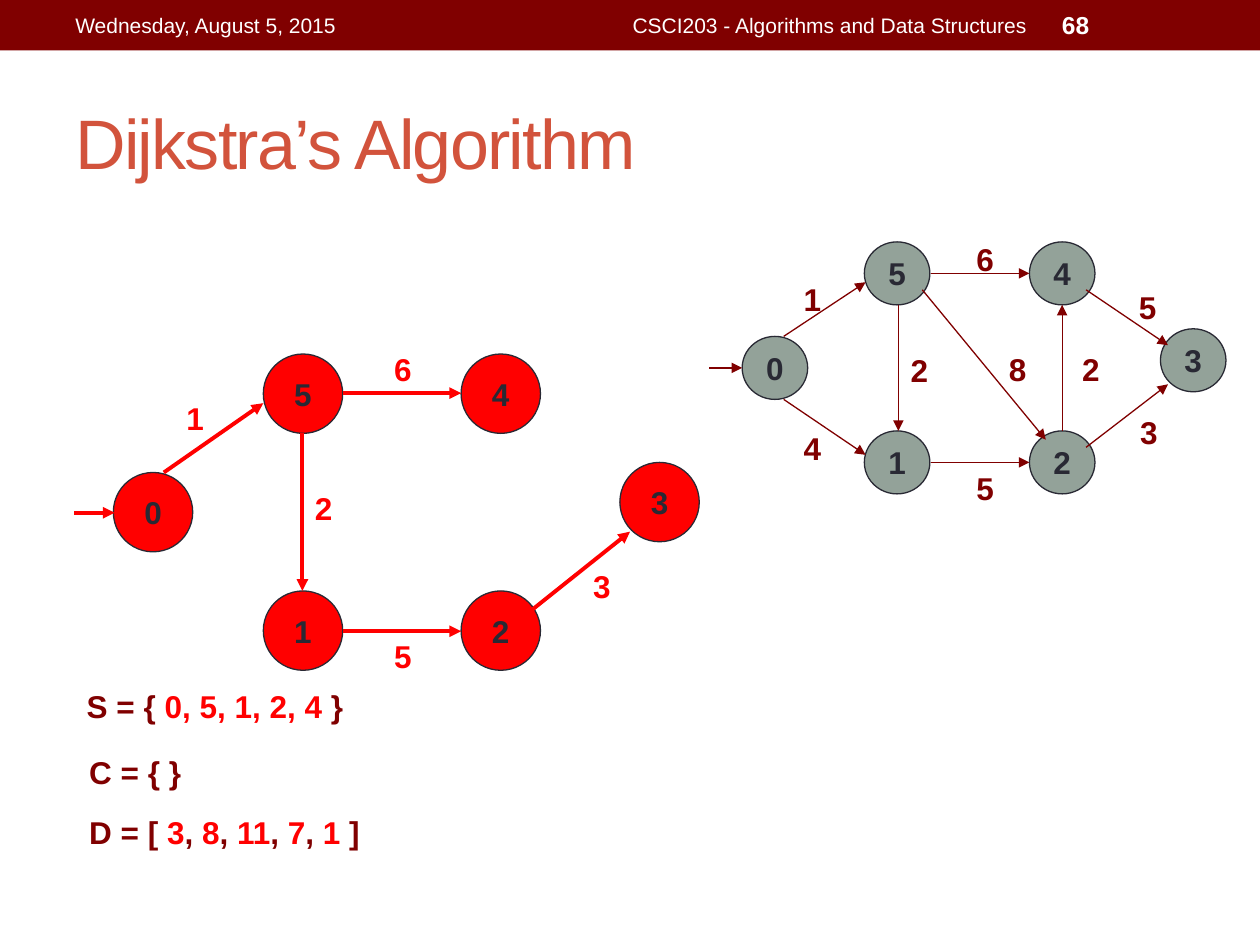
"""Build the slide on Dijkstra's algorithm with its two graphs."""
from lxml.etree import SubElement
from pptx import Presentation
from pptx.dml.color import RGBColor as RGB
from pptx.enum.shapes import MSO_CONNECTOR as Link, MSO_SHAPE as Shape
from pptx.enum.text import MSO_ANCHOR as Anchor, MSO_AUTO_SIZE as Auto, PP_ALIGN as Align
from pptx.oxml.ns import qn
from pptx.util import Inches, Pt

HUES = {"dark": "800000", "red": "FF0000", "grey": "93A299",
        "ink": "292934", "title": "D2533C", "white": "FFFFFF"}


def hue(name):
    return RGB.from_string(HUES[name])


def write(shape, runs, size=18, bold=True, align=Align.LEFT,
          anchor=Anchor.MIDDLE, wrap=True):
    frame = shape.text_frame
    frame.word_wrap = wrap
    frame.vertical_anchor = anchor
    par = frame.paragraphs[0]
    par.alignment = align
    for text, tone in runs:
        run = par.add_run()
        run.text = text
        run.font.name = "Arial"
        run.font.size = Pt(size)
        run.font.bold = bold
        run.font.color.rgb = hue(tone)
    return frame


deck = Presentation()
deck.slide_width, deck.slide_height = Inches(10), Inches(7.5)
slide = deck.slides.add_slide(deck.slide_layouts[6])
shapes = slide.shapes

band = shapes.add_shape(Shape.RECTANGLE, 0, 0, Inches(10), Inches(0.4))
band.shadow.inherit = False
band.fill.solid()
band.fill.fore_color.rgb = hue("dark")
band.line.fill.background()

title = shapes.add_textbox(Inches(0.5), Inches(0.58), Inches(9), Inches(1.08))
frame = write(title, [("Dijkstra’s Algorithm", "title")], 40, False)
frame.paragraphs[0].runs[0].font._element.set("spc", "-100")

heads = [
    (0.5, 3.17, "Wednesday, August 5, 2015", 12, False, Align.LEFT),
    (3.75, 4.5, "CSCI203 - Algorithms and Data Structures", 12, False, Align.RIGHT),
    (8.33, 1.17, "68", 14, True, Align.LEFT),
]
for left, width, text, size, bold, align in heads:
    box = shapes.add_textbox(Inches(left), Inches(0.02), Inches(width), Inches(0.36))
    write(box, [(text, "white")], size, bold, align)

graphs = [
    {"fill": "grey", "tone": "dark", "line": 0.75, "node": (0.52, 0.5), "label": 0.33,
     "nodes": [("0", 5.89, 2.67), ("1", 6.86, 3.42), ("5", 6.86, 1.92),
               ("2", 8.17, 3.42), ("3", 9.21, 2.61), ("4", 8.17, 1.92)],
     "edges": [(6.22, 2.67, 6.87, 2.24), (6.22, 3.17, 6.87, 3.61),
               (7.13, 2.42, 7.13, 3.42), (7.39, 3.67, 8.17, 3.67),
               (7.32, 2.3, 8.3, 3.49), (8.62, 3.55, 9.27, 3.05),
               (8.43, 3.42, 8.43, 2.42), (8.62, 2.3, 9.27, 2.74),
               (7.39, 2.17, 8.17, 2.17), (5.63, 2.92, 5.89, 2.92)],
     "costs": [("1", 6.28, 2.17), ("4", 6.28, 3.36), ("6", 7.65, 1.86),
               ("2", 7.13, 2.74), ("5", 7.65, 3.67), ("8", 7.91, 2.73),
               ("2", 8.49, 2.73), ("5", 8.94, 2.24), ("3", 8.95, 3.23)]},
    {"fill": "red", "tone": "red", "line": 2.25, "node": (0.63, 0.63), "label": 0.39,
     "nodes": [("0", 0.9, 3.75), ("1", 2.09, 4.69), ("5", 2.09, 2.81),
               ("2", 3.66, 4.69), ("3", 4.92, 3.67), ("4", 3.66, 2.81)],
     "edges": [(1.3, 3.75, 2.09, 3.2), (2.4, 3.44, 2.4, 4.69),
               (2.72, 5.01, 3.66, 5.01), (0.59, 4.07, 0.91, 4.07),
               (2.72, 3.12, 3.66, 3.12), (4.21, 4.85, 5, 4.22)],
     "costs": [("1", 1.38, 3.12), ("2", 2.4, 3.83), ("5", 3.03, 5.01),
               ("6", 3.03, 2.73), ("3", 4.61, 4.45)]},
]
for graph in graphs:
    group = shapes.add_group_shape().shapes
    wide, high = graph["node"]
    for name, left, top in graph["nodes"]:
        node = group.add_shape(Shape.OVAL, Inches(left), Inches(top),
                               Inches(wide), Inches(high))
        node.shadow.inherit = False
        node.fill.solid()
        node.fill.fore_color.rgb = hue(graph["fill"])
        node.line.color.rgb = hue("ink")
        node.line.width = Pt(0.75)
        write(node, [(name, "ink")], align=Align.CENTER, wrap=False)
    for ends in graph["edges"]:
        edge = group.add_connector(Link.STRAIGHT, *map(Inches, ends))
        edge.line.color.rgb = hue(graph["tone"])
        edge.line.width = Pt(graph["line"])
        SubElement(edge.line._get_or_add_ln(), qn("a:tailEnd"), type="triangle")
        SubElement(edge._element.spPr, qn("a:effectLst"))
    for cost, left, top in graph["costs"]:
        box = group.add_textbox(Inches(left), Inches(top),
                                Inches(graph["label"]), Inches(0.4))
        frame = write(box, [(cost, graph["tone"])], anchor=Anchor.TOP)
        frame.auto_size = Auto.SHAPE_TO_FIT_TEXT

dists = [("D = [ ", "dark"), ("3", "red")]
for dist in ("8", "11", "7", "1"):
    dists += [(", ", "dark"), (dist, "red")]
dists.append((" ]", "dark"))
sets = [
    (0.59, 5.4, 2.24, [("S = { ", "dark"), ("0, 5, 1, 2, 4", "red"), (" }", "dark")]),
    (0.61, 5.93, 0.93, [("C = { }", "dark")]),
    (0.61, 6.4, 2.36, dists),
]
for left, top, width, runs in sets:
    box = shapes.add_textbox(Inches(left), Inches(top), Inches(width), Inches(0.4))
    frame = write(box, runs, anchor=Anchor.TOP, wrap=False)
    frame.auto_size = Auto.SHAPE_TO_FIT_TEXT

deck.save("out.pptx")
